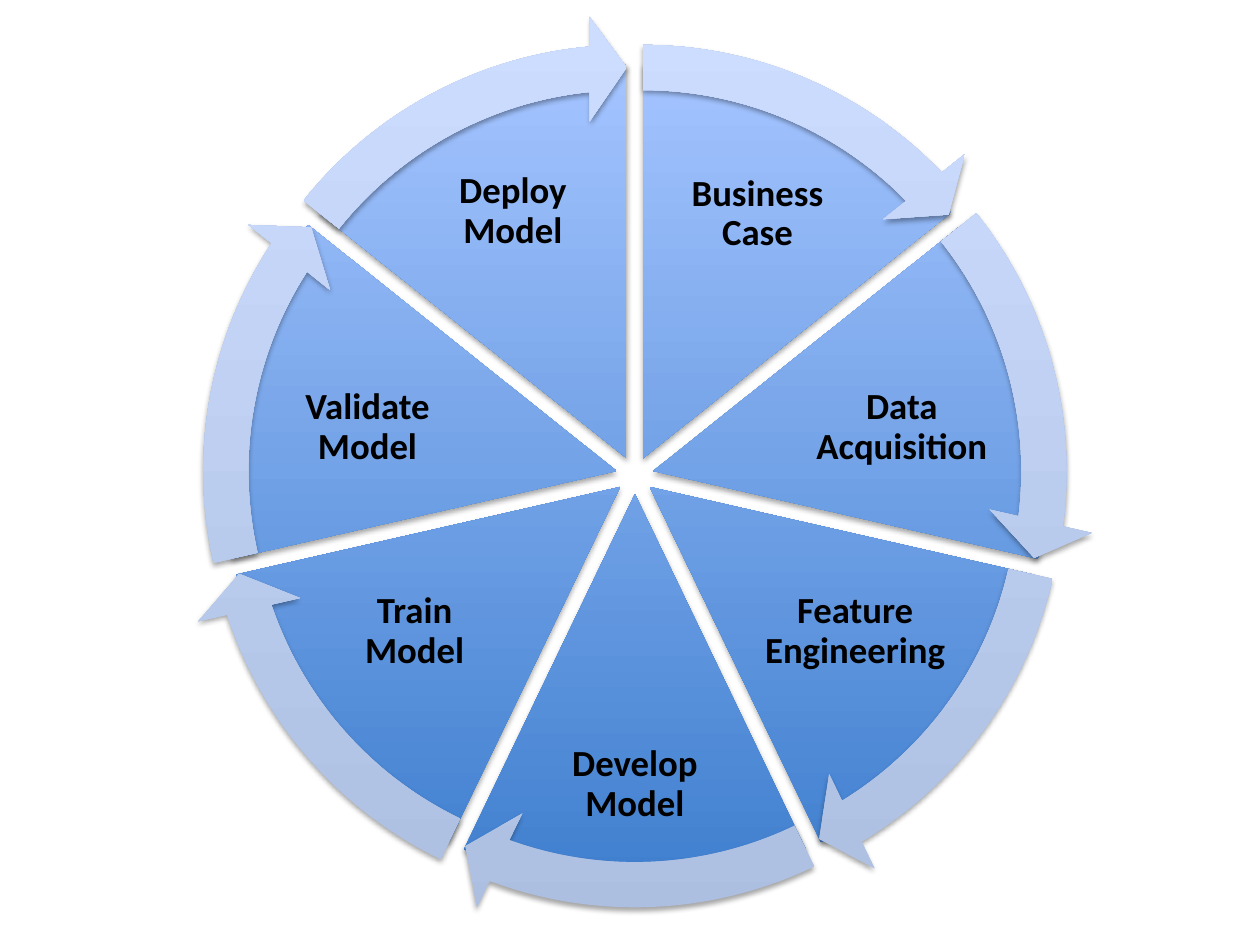
from math import cos, radians, sin

from lxml.etree import SubElement
from pptx import Presentation
from pptx.dml.color import RGBColor
from pptx.enum.shapes import MSO_SHAPE
from pptx.enum.text import MSO_ANCHOR, PP_ALIGN
from pptx.oxml.ns import qn
from pptx.util import Cm, Pt

# Label text with the left, top, width and height of its box in cm
STEPS = [
    ("Business Case", 13.36, 2.81, 3.82, 3.02),
    ("Data Acquisition", 16.01, 7.3, 4.34, 2.64),
    ("Feature Engineering", 15.33, 11.28, 3.82, 2.92),
    ("Develop Model", 10.96, 14.5, 3.68, 2.64),
    ("Train Model", 6.45, 11.28, 3.82, 2.92),
    ("Validate Model", 5.24, 7.3, 4.34, 2.64),
    ("Deploy Model", 8.43, 2.76, 3.82, 3.02),
]
WEDGE = (RGBColor(0x3F, 0x7F, 0xCE), RGBColor(0xA4, 0xC4, 0xFF))
ARROW = (RGBColor(0xAD, 0xBF, 0xE1), RGBColor(0xCC, 0xDD, 0xFF))
BLACK = RGBColor(0, 0, 0)

MID_X, MID_Y = 12.8, 9.58
GAP = 0.38  # how far each wedge moves out from the middle
PIE_SIZE, RING_SIZE = 15.9, 17.86
UNIT = 0.6  # adjustment units per degree
TURN = 360 / len(STEPS)
HEAD = 3.275  # arrowhead sweep in adjustment units

FRAME = {"word_wrap": True, "vertical_anchor": MSO_ANCHOR.MIDDLE}
FRAME |= {f"margin_{side}": Cm(0.07) for side in ("left", "top", "right", "bottom")}
PARA = {"alignment": PP_ALIGN.CENTER, "line_spacing": 0.9, "space_after": Pt(7.35)}
FONT = {"name": "Calibri", "size": Pt(21), "bold": True}


def apply(item, values):
    for key, value in values.items():
        setattr(item, key, value)


def shade(shape):
    """Add a soft shadow just below the shape."""
    effects = SubElement(shape._element.spPr, qn("a:effectLst"))
    shadow = SubElement(effects, qn("a:outerShdw"), blurRad=str(Pt(3.1)),
                        dist=str(Pt(1.8)), dir="5400000", rotWithShape="0")
    color = SubElement(shadow, qn("a:srgbClr"), val="000000")
    SubElement(color, qn("a:alpha"), val="35000")


def add_part(shapes, kind, index, size, colors, adjust):
    """Add a wedge or arrow, moved out along the middle of its sector."""
    angle = radians(-90 + (index + 0.5) * TURN)
    left = MID_X + GAP * cos(angle) - size / 2
    top = MID_Y + GAP * sin(angle) - size / 2
    part = shapes.add_shape(kind, Cm(left), Cm(top), Cm(size), Cm(size))
    for spot, value in enumerate(adjust):
        part.adjustments[spot] = value
    part.fill.gradient()
    part.fill.gradient_angle = 90
    for stop, color in zip(part.fill.gradient_stops, colors):
        stop.color.rgb = color
    part.line.fill.background()
    shade(part)


def add_label(shapes, text, *box):
    frame = shapes.add_textbox(*map(Cm, box)).text_frame
    apply(frame, FRAME)
    para = frame.paragraphs[0]
    apply(para, PARA)
    run = para.add_run()
    run.text = text
    apply(run.font, FONT)
    run.font.color.rgb = BLACK


def sector(index):
    """Return the start and end of a sector in adjustment units."""
    return [(270 + i * TURN) % 360 * UNIT for i in (index, index + 1)]


def main():
    deck = Presentation()
    deck.slide_width, deck.slide_height = Cm(25.4), Cm(19.05)
    shapes = deck.slides.add_slide(deck.slide_layouts[6]).shapes
    for i, step in enumerate(STEPS):
        add_part(shapes, MSO_SHAPE.PIE, i, PIE_SIZE, WEDGE, sector(i))
        add_label(shapes, *step)
    for i in range(len(STEPS)):
        start, end = sector(i)
        add_part(shapes, MSO_SHAPE.CIRCULAR_ARROW, i, RING_SIZE, ARROW,
                 (0.051, HEAD, end - HEAD, start, 0.059))
    deck.save("out.pptx")


if __name__ == "__main__":
    main()
